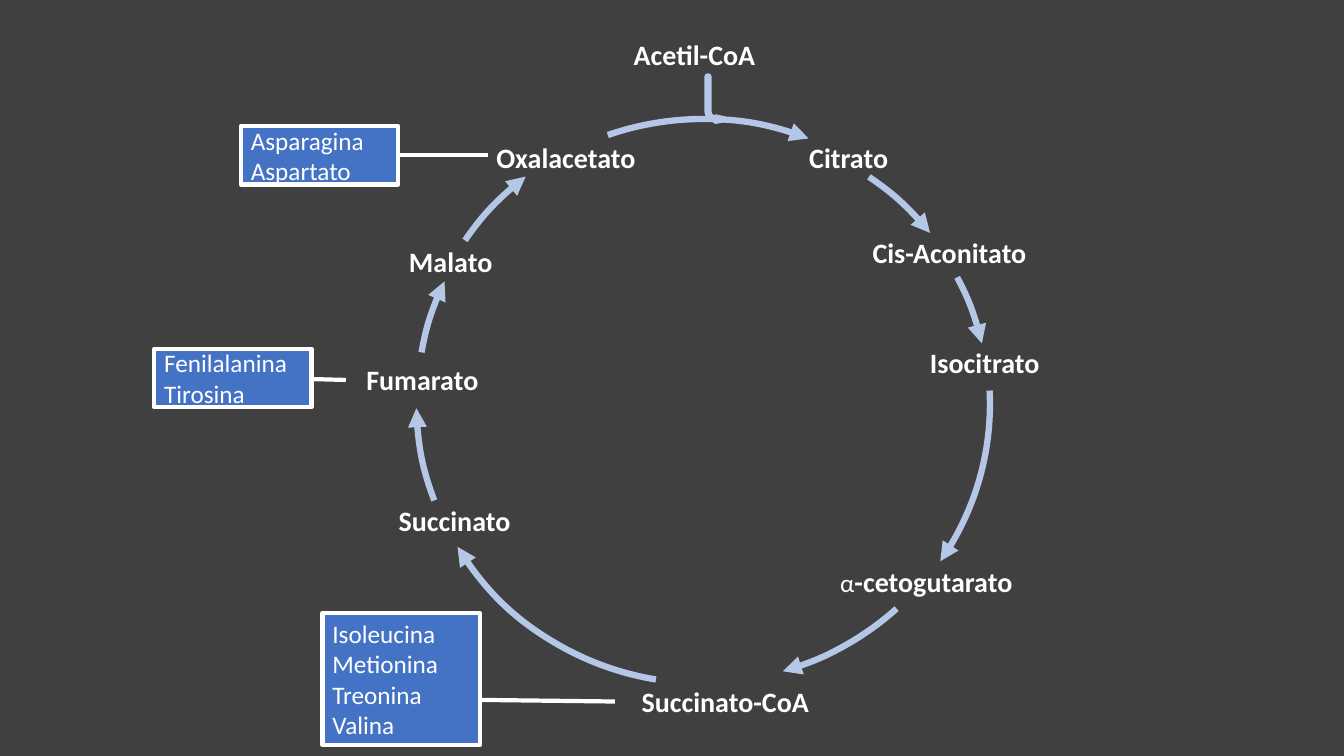
from lxml.etree import SubElement as Sub
from pptx import Presentation as Deck
from pptx.dml.color import RGBColor as RGB
from pptx.enum.shapes import MSO_CONNECTOR as LINK, MSO_SHAPE as KIND
from pptx.enum.text import MSO_ANCHOR as ANCHOR, MSO_AUTO_SIZE as FIT, PP_ALIGN as ALIGN
from pptx.oxml.ns import qn
from pptx.util import Pt

GRAY = RGB(0x40, 0x40, 0x40)
WHITE = RGB(0xFF, 0xFF, 0xFF)
BLUE = RGB(0x44, 0x72, 0xC4)
PALE = RGB(0xB4, 0xC7, 0xE7)
BROWN = RGB(0x84, 0x3C, 0x0B)

BOLD = {"name": "Calibri", "size": Pt(20), "bold": True}
PLAIN = {"name": "Calibri", "size": Pt(18), "bold": False}

deck = Deck()
deck.slide_width, deck.slide_height = Pt(960), Pt(540)
slide = deck.slides.add_slide(deck.slide_layouts[6])
slide.background.fill.solid()
slide.background.fill.fore_color.rgb = GRAY
shapes = slide.shapes


def write(para, text, form):
    run = para.add_run()
    run.text = text
    for key, value in form.items():
        setattr(run.font, key, value)
    run.font.color.rgb = WHITE


def draw(kind, place, fill, edge, width):
    shape = shapes.add_shape(kind, *map(Pt, place))
    shape.shadow.inherit = False
    if fill is None:
        shape.fill.background()
    else:
        shape.fill.solid()
        shape.fill.fore_color.rgb = fill
    shape.line.color.rgb = edge
    shape.line.width = Pt(width)
    return shape


arcs = [
    (299.5, 90.7, 183.278, 193.406),
    (297.4, 90, 200.001, 208.519),
    (298.1, 89.3, 214.364, 20.143),
    (297.4, 88.6, 27.985, 44.006),
    (298.1, 89.3, 59.894, 89.942),
    (297.4, 88.6, 96.055, 107.391),
    (298.1, 86.4, 113.767, 122.773),
    (297.4, 83.5, 127.936, 138.68),
    (298.1, 85, 149.999, 175.202),
]
for left, top, start, end in arcs:
    arc = draw(KIND.ARC, (left, top, 409, 398.9), None, PALE, 4.5)
    arc.adjustments[0], arc.adjustments[1] = start, end
    Sub(arc.line._get_or_add_ln(), qn("a:tailEnd"), type="triangle")

entry = draw(KIND.BENT_ARROW, (505.4, 54.7, 11.5, 31.7), BROWN, PALE, 4.5)
for index, value in enumerate((0.057, 0.108, 0.5, 0.839)):
    entry.adjustments[index] = value
entry._element.spPr.find(qn("a:xfrm")).set("flipV", "1")

labels = [
    ("Oxalacetato", 316.8, 96.5, 175),
    ("Citrato", 555.1, 96.5, 102.2),
    ("Malato", 275.8, 171.4, 92.2),
    ("Fumarato", 247, 255.6, 109.4),
    ("Succinato", 270, 356.4, 109.4),
    ("Succinato-CoA", 439.2, 485.3, 157.7),
    ("Isocitrato", 652.3, 243.4, 102.2),
    ("Cis-Aconitato", 602.6, 164.9, 151.2),
    ("α-cetogutarato", 586.1, 399.6, 151.2),
    ("Acetil-CoA", 431.3, 23, 129.6),
]
for text, left, top, width in labels:
    frame = shapes.add_textbox(Pt(left), Pt(top), Pt(width), Pt(31.5)).text_frame
    frame.word_wrap = True
    frame.auto_size = FIT.SHAPE_TO_FIT_TEXT
    para = frame.paragraphs[0]
    para.alignment = ALIGN.CENTER
    if text.startswith("α"):
        write(para, "α", PLAIN)
    write(para, text.lstrip("α"), BOLD)

links = [
    (193.7, 270, 247, 271.4),
    (283.7, 110.9, 348.5, 110.9),
    (322.6, 499.7, 439.2, 501.1),
]
for ends in links:
    link = shapes.add_connector(LINK.STRAIGHT, *map(Pt, ends))
    link.line.color.rgb = WHITE
    link.line.width = Pt(3)
    Sub(link._element.spPr, qn("a:effectLst"))

boxes = [
    (172.1, 90, 41.8, ("Asparagina", "Aspartato")),
    (110.2, 249.1, 41.8, ("Fenilalanina", "Tirosina")),
    (230.4, 437.8, 94.3, ("Isoleucina", "Metionina", "Treonina", "Valina")),
]
for left, top, height, names in boxes:
    frame = draw(KIND.RECTANGLE, (left, top, 112.3, height), BLUE, WHITE, 3).text_frame
    frame.word_wrap = True
    frame.vertical_anchor = ANCHOR.MIDDLE
    for index, name in enumerate(names):
        para = frame.add_paragraph() if index else frame.paragraphs[0]
        para.alignment = ALIGN.LEFT
        write(para, name, PLAIN)

deck.save("out.pptx")
